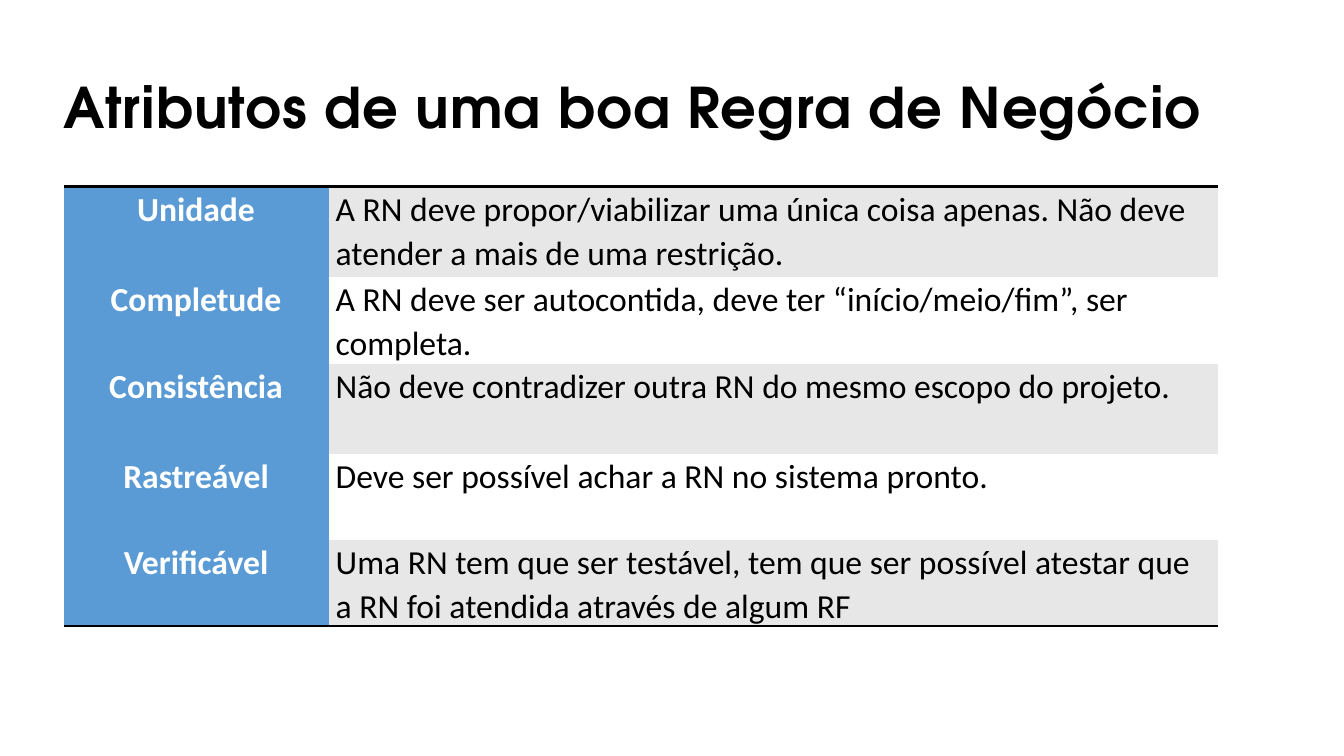
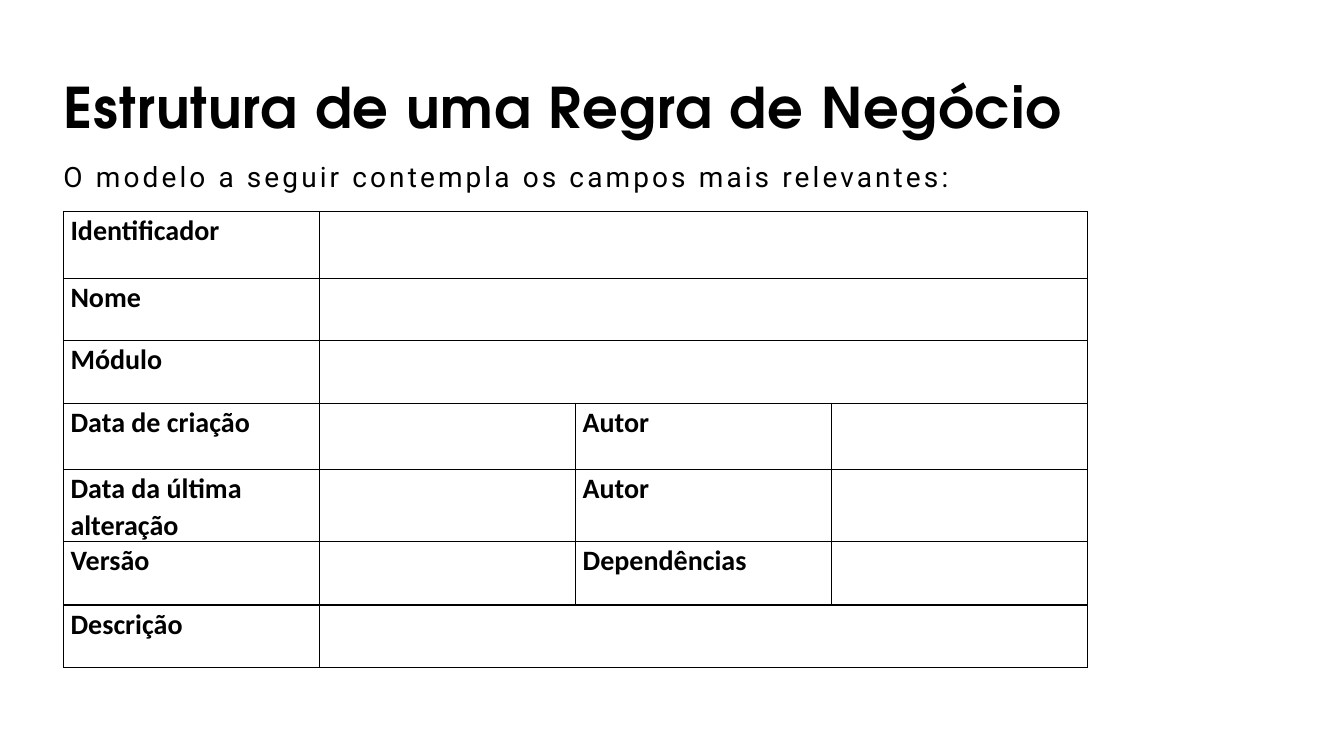
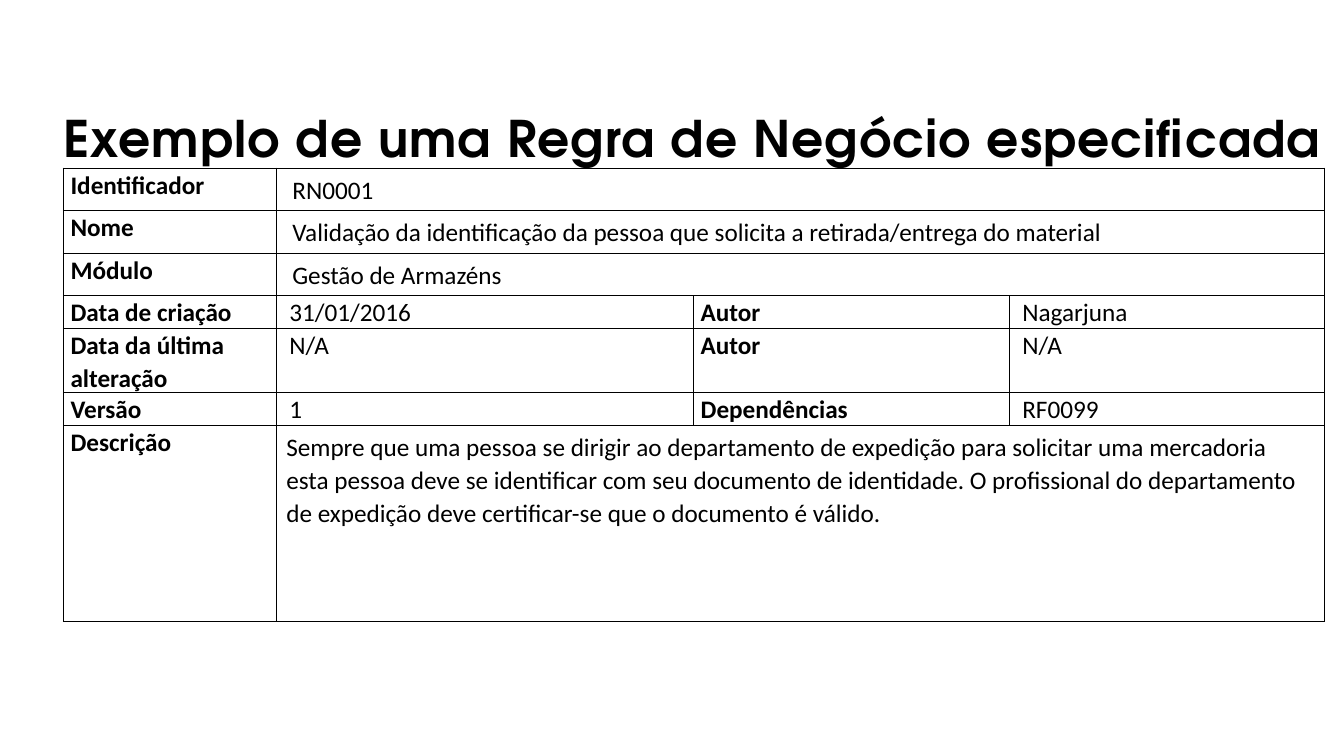
from lxml import etree
from pptx import Presentation
from pptx.dml.color import RGBColor
from pptx.enum.text import PP_ALIGN
from pptx.oxml.ns import qn
from pptx.util import Inches, Pt

LEFT, CENTER = PP_ALIGN.LEFT, PP_ALIGN.CENTER
BLACK = RGBColor(0x00, 0x00, 0x00)
WHITE = RGBColor(0xFF, 0xFF, 0xFF)
BLUE = RGBColor(0x5B, 0x9B, 0xD5)
GRAY = RGBColor(0xE7, 0xE7, 0xE7)
TITLE_FONT, INTRO_FONT, TABLE_FONT = "TeX Gyre Adventor", "Roboto", "Calibri"
MARGIN = 0.63
CELL_INSET = 0.07
BORDER_SIDES = ("L", "R", "T", "B")

ATTRIBUTES = [
    ("Unidade", "A RN deve propor/viabilizar uma única coisa apenas. Não deve atender a mais de uma restrição."),
    ("Completude", "A RN deve ser autocontida, deve ter “início/meio/fim”, ser completa."),
    ("Consistência", "Não deve contradizer outra RN do mesmo escopo do projeto."),
    ("Rastreável", "Deve ser possível achar a RN no sistema pronto."),
    ("Verificável", "Uma RN tem que ser testável, tem que ser possível atestar que a RN foi atendida através de algum RF"),
]
FIELDS = [
    ("Identificador",),
    ("Nome",),
    ("Módulo",),
    ("Data de criação", "Autor"),
    ("Data da última alteração", "Autor"),
    ("Versão", "Dependências"),
    ("Descrição",),
]
EMPTY_VALUES = [("",) * len(labels) for labels in FIELDS]
EXAMPLE_VALUES = [
    ("RN0001",),
    ("Validação da identificação da pessoa que solicita a retirada/entrega do material",),
    ("Gestão de Armazéns",),
    ("31/01/2016", "Nagarjuna"),
    ("N/A", "N/A"),
    ("1", "RF0099"),
    ("Sempre que uma pessoa se dirigir ao departamento de expedição para solicitar uma mercadoria "
     "esta pessoa deve se identificar com seu documento de identidade. O profissional do departamento "
     "de expedição deve certificar-se que o documento é válido.",),
]
WIDE_INSETS = [0.16, 0.16, 0.16, None, None, None, 0.1]


def write(frame, text, size, font=TABLE_FONT, color=BLACK, bold=False, align=LEFT,
          tracking=None, line_spacing=None, space_after=None):
    paragraph = frame.paragraphs[0]
    paragraph.alignment = align
    if line_spacing:
        paragraph.line_spacing = line_spacing
    if space_after:
        paragraph.space_after = Pt(space_after)
    run = paragraph.add_run()
    run.text = text
    run.font.size = Pt(size)
    run.font.name = font
    run.font.bold = bold
    run.font.color.rgb = color
    if tracking:
        run.font._element.set("spc", str(int(tracking * 100)))


def add_line_of_text(slide, text, box, **style):
    frame = slide.shapes.add_textbox(*map(Inches, box)).text_frame
    frame.word_wrap = True
    frame.margin_left = frame.margin_right = frame.margin_top = frame.margin_bottom = 0
    write(frame, text, **style)


def add_title(slide, text, top=0.72, size=40, width=12.35):
    add_line_of_text(slide, text, (MARGIN, top, width, size / 60), size=size,
                     font=TITLE_FONT, bold=True, tracking=0.7)


def set_borders(cell, widths):
    properties = cell._tc.get_or_add_tcPr()
    for side in BORDER_SIDES:
        width = widths.get(side)
        line = etree.SubElement(properties, qn(f"a:ln{side}"), w=str(Pt(width or 0)))
        if width:
            fill = etree.SubElement(line, qn("a:solidFill"))
            etree.SubElement(fill, qn("a:srgbClr"), val=str(BLACK))
        else:
            etree.SubElement(line, qn("a:noFill"))


def fill_cell(cell, text, inset=CELL_INSET, vertical_inset=0, right_inset=CELL_INSET, **style):
    cell.margin_left = Inches(inset)
    cell.margin_right = Inches(right_inset)
    cell.margin_top = cell.margin_bottom = Inches(vertical_inset)
    if text:
        write(cell.text_frame, text, line_spacing=1.07, space_after=8, **style)


def add_grid(slide, left, top, widths, heights):
    box = map(Inches, (left, top, sum(widths), sum(heights)))
    table = slide.shapes.add_table(len(heights), len(widths), *box).table
    table.first_row = table.horz_banding = False
    for column, width in zip(table.columns, widths):
        column.width = Inches(width)
    for row, height in zip(table.rows, heights):
        row.height = Inches(height)
    return table


def add_attribute_table(slide, left, top, widths, heights):
    table = add_grid(slide, left, top, widths, heights)
    last = len(ATTRIBUTES) - 1
    for index, (name, meaning) in enumerate(ATTRIBUTES):
        heading, body = table.cell(index, 0), table.cell(index, 1)
        for cell, color in ((heading, BLUE), (body, WHITE if index % 2 else GRAY)):
            set_borders(cell, {"T": 2 * (index == 0), "B": 2 * (index == last)})
            cell.fill.solid()
            cell.fill.fore_color.rgb = color
        fill_cell(heading, name, size=24, color=WHITE, bold=True, align=CENTER)
        fill_cell(body, meaning, size=24)


def add_rule_form(slide, left, top, widths, heights, values, size):
    table = add_grid(slide, left, top, widths, heights)
    for cell in table.iter_cells():
        set_borders(cell, dict.fromkeys(BORDER_SIDES, 1))
        cell.fill.background()
    for row, (labels, entries, wide_inset) in enumerate(zip(FIELDS, values, WIDE_INSETS)):
        for pair, (label, entry) in enumerate(zip(labels, entries)):
            fill_cell(table.cell(row, 2 * pair), label, size=size, bold=True)
            value_cell = table.cell(row, 2 * pair + 1)
            if wide_inset:
                value_cell.merge(table.cell(row, 3))
                fill_cell(value_cell, entry, wide_inset, 0.05, 0.1, size=size)
            else:
                fill_cell(value_cell, entry, 0.13, size=size)


def build_attributes(slide):
    add_title(slide, "Atributos de uma boa Regra de Negócio")
    add_attribute_table(slide, MARGIN, 1.85, [2.63, 8.82], [0.9, 0.85, 0.9, 0.85, 0.85])


def build_structure(slide):
    add_title(slide, "Estrutura de uma Regra de Negócio")
    add_line_of_text(slide, "O modelo a seguir contempla os campos mais relevantes:",
                     (MARGIN, 1.58, 11.76, 0.34), size=20, font=INTRO_FONT, tracking=2.2)
    add_rule_form(slide, MARGIN, 2.1, [2.54] * 4,
                  [0.66, 0.62, 0.62, 0.66, 0.71, 0.63, 0.62], EMPTY_VALUES, 20)


def build_example(slide):
    add_title(slide, "Exemplo de uma Regra de Negócio especificada", top=1.06, size=36, width=12.7)
    add_rule_form(slide, MARGIN, 1.67, [2.11, 4.14, 3.13, 3.13],
                  [0.36, 0.36, 0.36, 0.27, 0.56, 0.27, 1.95], EXAMPLE_VALUES, 18)


def main():
    deck = Presentation()
    deck.slide_width, deck.slide_height = Inches(13.33), Inches(7.5)
    blank = deck.slide_layouts[6]
    for build in (build_attributes, build_structure, build_example):
        build(deck.slides.add_slide(blank))
    deck.save("out.pptx")


if __name__ == "__main__":
    main()
